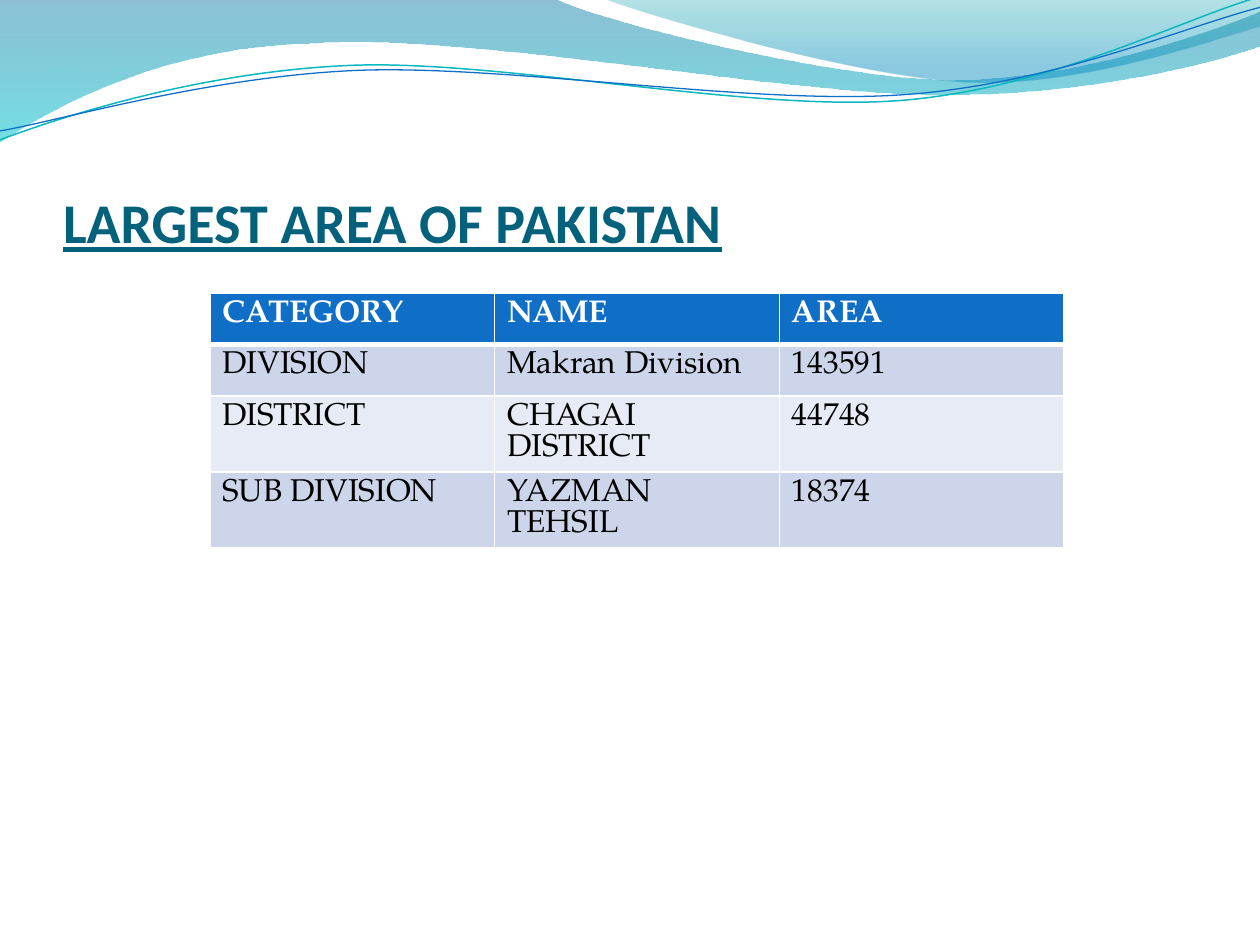
from dataclasses import dataclass

from lxml import etree
from pptx import Presentation
from pptx import util as u
from pptx.dml.color import RGBColor
from pptx.enum import text
from pptx.oxml import ns


@dataclass(frozen=True)
class Theme:
    title_font: str = "Calibri"
    table_font: str = "TeX Gyre Pagella"
    title_size: int = 32
    table_size: int = 18
    title: str = "04617B"
    header: str = "0F6FC6"
    bands: tuple = ("CCD5EA", "E7EBF5")
    light: str = "FFFFFF"
    dark: str = "000000"
    # gradient stops: position, colour, opacity in percent
    back_wave: tuple = ((0, "0074A1", 45), (1, "00C6CF", 55))
    front_wave: tuple = ((0, "00A1A9", 30), (0.8, "008BBF", 45))
    teal_line: str = "0AB8BF"
    blue_line: str = "0F6FC6"


theme = Theme()

# Outlines in cm: a start point, then lines (x, y) and Bézier curves (three points).
BACK_WAVE = [(0, 0), (11.18, -0.03), (12.09, 0.43, 16.87, 1.6, 19.25, 1.6),
             (21.67, 1.6, 24.33, 0.66, 25.4, 0.23), (25.43, 0.91),
             (24.97, 1.12, 22.1, 1.93, 18.95, 1.91),
             (15.8, 1.91, 9.7, 0.71, 6.53, 0.86), (3.28, 0.91, 1.17, 2.11, -0.03, 2.87)]
FRONT_WAVE = [(12.17, -0.03), (12.93, 0.28, 17.32, 1.57, 19.53, 1.65),
              (21.74, 1.75, 24.41, 0.81, 25.4, 0.53), (25.4, 0)]
TEAL_LINE = [(0, 2.82), (1.22, 2.36, 4.01, 1.45, 7.04, 1.32),
             (10.03, 1.19, 15.06, 2.26, 18.11, 2.03), (21.16, 1.8, 23.83, 0.38, 25.35, -0.05)]
BLUE_LINE = [(0, 2.64), (1.19, 2.44, 4.17, 1.55, 7.19, 1.42),
             (10.24, 1.3, 15.16, 2.13, 18.21, 1.91), (21.23, 1.7, 23.9, 0.53, 25.4, 0.15)]


def draw_outline(shapes, outline, close):
    """Add a freeform through the anchor points, then bend its curved segments."""
    start, *anchors = [(u.Cm(segment[-2]), u.Cm(segment[-1])) for segment in outline]
    builder = shapes.build_freeform(*start)
    builder.add_line_segments(anchors, close=close)
    freeform = builder.convert_to_shape()
    freeform.shadow.inherit = False
    straight_parts = list(freeform._element.iter(ns.qn("a:lnTo")))
    for straight, segment in zip(straight_parts, outline[1:]):
        if len(segment) == 2:
            continue
        curve = etree.Element(ns.qn("a:cubicBezTo"))
        for x, y in zip(segment[::2], segment[1::2]):
            etree.SubElement(curve, ns.qn("a:pt"), x=str(u.Cm(x) - freeform.left),
                             y=str(u.Cm(y) - freeform.top))
        straight.getparent().replace(straight, curve)
    return freeform


def set_border(cell, side, width):
    """Draw one cell edge; side is L, R, T or B, called in that order."""
    line = etree.Element(ns.qn(f"a:ln{side}"), w=str(u.Pt(width)))
    fill = etree.SubElement(line, ns.qn("a:solidFill"))
    etree.SubElement(fill, ns.qn("a:srgbClr"), val=theme.light)
    properties = cell._tc.get_or_add_tcPr()
    properties.insert("LRTB".index(side), line)


prs = Presentation()
prs.slide_width, prs.slide_height = u.Cm(25.4), u.Cm(19.05)
slide = prs.slides.add_slide(prs.slide_layouts[5])

# Waves along the top
for outline, stops in ((BACK_WAVE, theme.back_wave), (FRONT_WAVE, theme.front_wave)):
    wave = draw_outline(slide.shapes, outline, close=True)
    wave.line.fill.background()
    wave.fill.gradient()
    wave.fill.gradient_angle = 270
    for stop, (position, colour, opacity) in zip(wave.fill.gradient_stops, stops):
        stop.position = position
        stop.color.rgb = RGBColor.from_string(colour)
        rgb = stop._gs.find(ns.qn("a:srgbClr"))
        etree.SubElement(rgb, ns.qn("a:alpha"), val=str(opacity * 1000))

for outline, colour, width in ((TEAL_LINE, theme.teal_line, 0.85),
                               (BLUE_LINE, theme.blue_line, 0.75)):
    ripple = draw_outline(slide.shapes, outline, close=False)
    ripple.fill.background()
    ripple.line.color.rgb = RGBColor.from_string(colour)
    ripple.line.width = u.Pt(width)

# Title, brought in front of the waves
title = slide.shapes.title
slide.shapes._spTree.append(title._element)
title.left, title.top, title.width, title.height = u.Cm(1.27), u.Cm(1.96), u.Cm(22.86), u.Cm(3.18)
frame = title.text_frame
frame.word_wrap = True
frame.auto_size = text.MSO_AUTO_SIZE.NONE
frame.vertical_anchor = text.MSO_ANCHOR.BOTTOM
frame.margin_left = frame.margin_right = frame.margin_bottom = 0
frame.margin_top = u.Cm(0.13)
heading = frame.paragraphs[0]
heading.alignment = text.PP_ALIGN.LEFT
run = heading.add_run()
run.text = "LARGEST AREA OF PAKISTAN"
run.font.name, run.font.size = theme.title_font, u.Pt(theme.title_size)
run.font.bold = run.font.underline = True
run.font.color.rgb = RGBColor.from_string(theme.title)

# Largest areas by category
areas = [
    ("CATEGORY", "NAME", "AREA"),
    ("DIVISION", "Makran Division", "143591"),
    ("DISTRICT", "CHAGAI DISTRICT", "44748"),
    ("SUB DIVISION", "YAZMAN TEHSIL", "18374"),
]
COLUMN_WIDTH, ROW_HEIGHT = u.Cm(5.74), u.Cm(1.03)
table = slide.shapes.add_table(len(areas), 3, u.Cm(4.23), u.Cm(5.92),
                               3 * COLUMN_WIDTH, len(areas) * ROW_HEIGHT).table
for row, record in enumerate(areas):
    is_header = row == 0
    fill_colour = theme.header if is_header else theme.bands[(row - 1) % 2]
    for column, value in enumerate(record):
        cell = table.cell(row, column)
        cell.fill.solid()
        cell.fill.fore_color.rgb = RGBColor.from_string(fill_colour)
        for side in "LRTB":
            under_header = (row, side) in ((0, "B"), (1, "T"))
            set_border(cell, side, 3 if under_header else 1)
        run = cell.text_frame.paragraphs[0].add_run()
        run.text = value
        run.font.name, run.font.size = theme.table_font, u.Pt(theme.table_size)
        run.font.bold = is_header
        run.font.color.rgb = RGBColor.from_string(theme.light if is_header else theme.dark)

prs.save("out.pptx")
